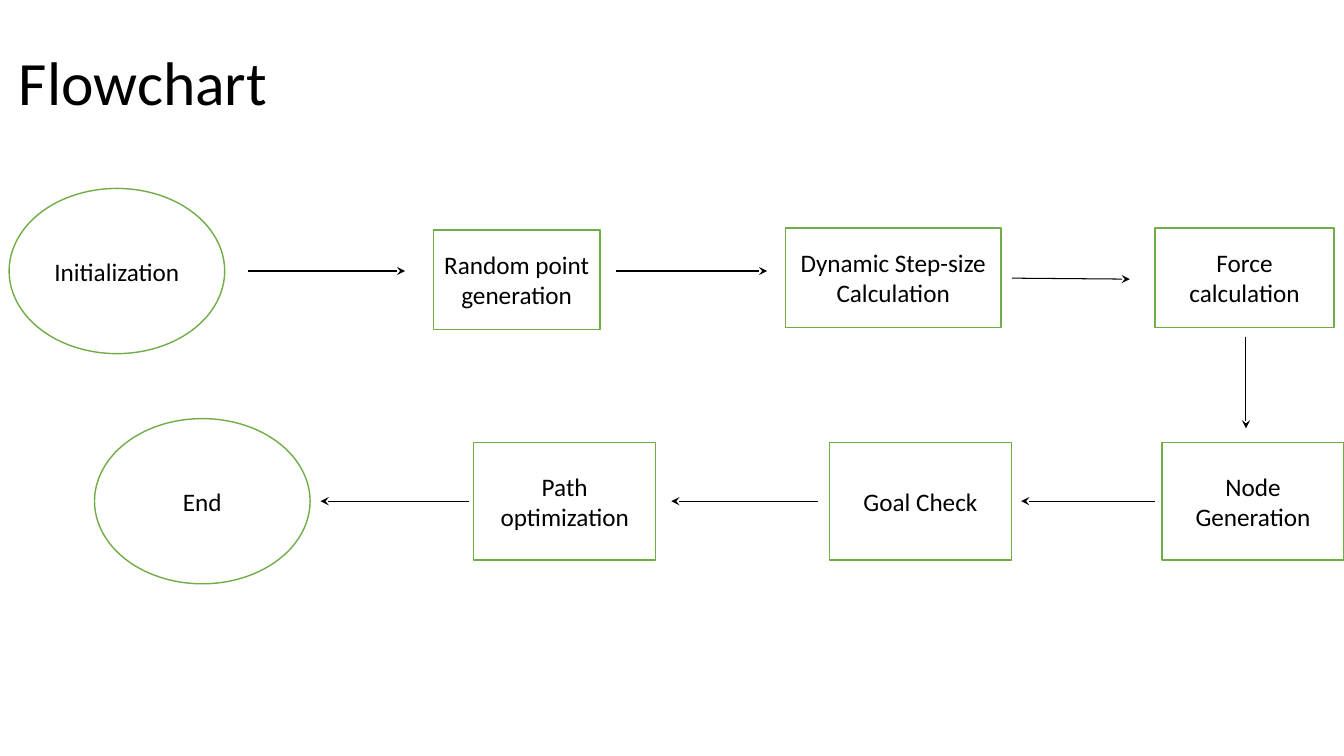
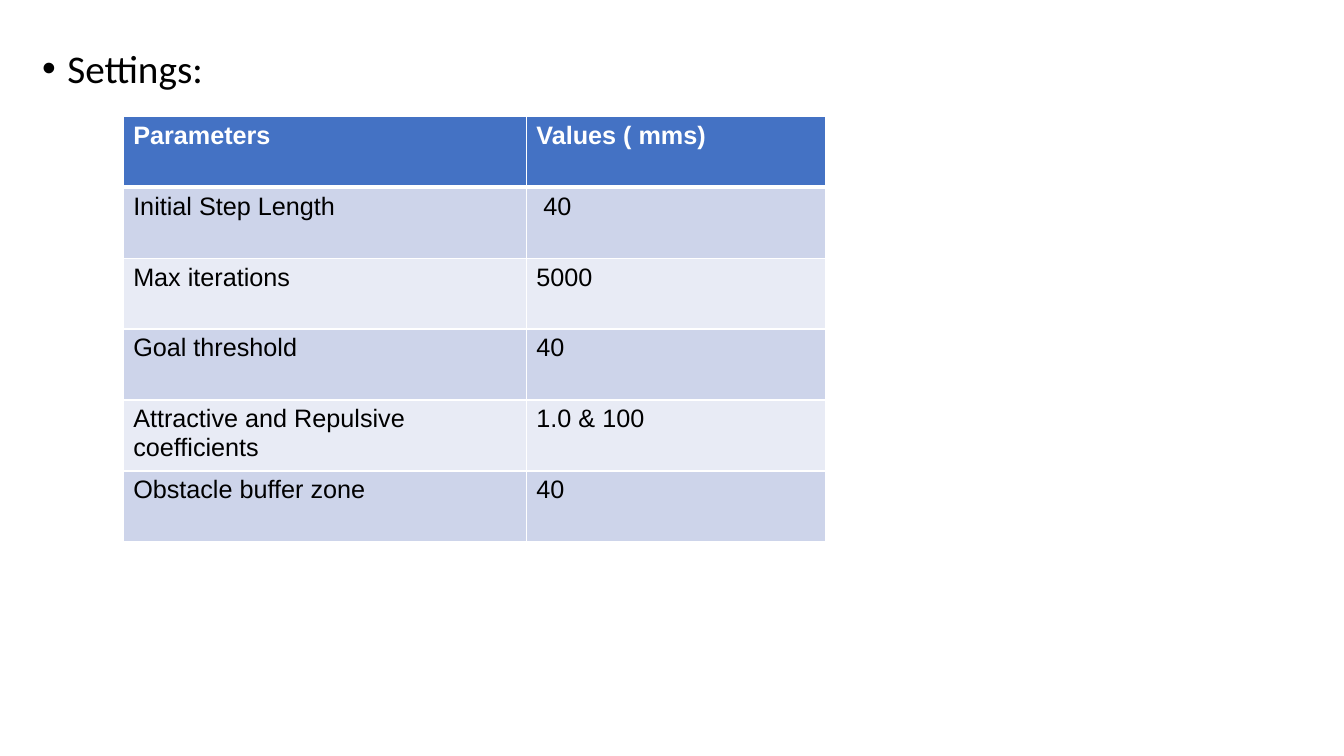
from lxml import etree
from pptx import Presentation
from pptx.dml.color import RGBColor
from pptx.enum.shapes import MSO_CONNECTOR, MSO_SHAPE
from pptx.enum.text import MSO_ANCHOR, PP_ALIGN
from pptx.oxml.ns import qn
from pptx.util import Pt

RECT, OVAL = MSO_SHAPE.RECTANGLE, MSO_SHAPE.OVAL
STRAIGHT = MSO_CONNECTOR.STRAIGHT
CENTER, LEFT = PP_ALIGN.CENTER, PP_ALIGN.LEFT
MIDDLE, TOP = MSO_ANCHOR.MIDDLE, MSO_ANCHOR.TOP

BLACK, WHITE, GREEN = "000000", "FFFFFF", "70AD47"
HEADER, BANDS = "4472C4", ("CDD4EA", "E8EBF5")
BODY_FONT, TABLE_FONT = "Calibri", "Arial"

OVAL_SIZE = (154, 118)
LOWER_BOX = (130, 84)
LOWER_Y = 358

# kind, text, left, centre height, size
STEPS = [
    (OVAL, "Initialization", 6.5, 193.6, OVAL_SIZE),
    (RECT, "Random point generation", 309.6, 199.8, (119, 71)),
    (RECT, "Dynamic Step-size Calculation", 561, 198.3, (154, 71)),
    (RECT, "Force calculation", 825, 198.3, (128, 71)),
    (RECT, "Node Generation", 830, LOWER_Y, LOWER_BOX),
    (RECT, "Goal Check", 592.5, LOWER_Y, LOWER_BOX),
    (RECT, "Path optimization", 338.4, LOWER_Y, LOWER_BOX),
    (OVAL, "End", 67.5, LOWER_Y, OVAL_SIZE),
]
# from x, from y, to x, to y
ARROWS = [
    (177, 193.6, 289.4, 193.6),
    (440, 193.6, 548, 193.6),
    (723, 198.7, 807, 199.4),
    (890, 240.5, 890, 306),
    (825, LOWER_Y, 729.4, LOWER_Y),
    (584.6, LOWER_Y, 479.5, LOWER_Y),
    (334.8, LOWER_Y, 229, LOWER_Y),
]
SETTINGS = [
    ("Parameters", "Values ( mms)"),
    ("Initial Step Length", " 40"),
    ("Max iterations", "5000"),
    ("Goal threshold", "40"),
    ("Attractive and Repulsive coefficients", "1.0 & 100"),
    ("Obstacle buffer zone", "40"),
]


def rgb(color):
    return RGBColor.from_string(color)


def write(tf, text, size=18, font=BODY_FONT, color=BLACK, bold=False,
          align=LEFT, spacing=None):
    p = tf.paragraphs[0]
    p.alignment = align
    if spacing:
        p.line_spacing = spacing
    r = p.add_run()
    r.text = text
    r.font.size, r.font.name, r.font.bold = Pt(size), font, bold
    r.font.color.rgb = rgb(color)
    return p


def add_text(s, text, left, top, width, height, anchor=TOP, **fmt):
    tf = s.shapes.add_textbox(Pt(left), Pt(top), Pt(width), Pt(height)).text_frame
    tf.word_wrap = True
    tf.vertical_anchor = anchor
    return write(tf, text, spacing=0.9, **fmt)


def add_bullet(p, indent):
    pPr = p._p.get_or_add_pPr()
    pPr.set("marL", str(Pt(indent)))
    pPr.set("indent", str(-Pt(indent)))
    etree.SubElement(pPr, qn("a:buFont"), typeface="Arial")
    etree.SubElement(pPr, qn("a:buChar"), char="•")


def add_step(s, kind, text, left, middle, size):
    width, height = size
    sp = s.shapes.add_shape(kind, Pt(left), Pt(middle - height / 2),
                            Pt(width), Pt(height))
    sp.shadow.inherit = False
    sp.fill.solid()
    sp.fill.fore_color.rgb = rgb(WHITE)
    sp.line.color.rgb = rgb(GREEN)
    sp.line.width = Pt(1)
    tf = sp.text_frame
    tf.word_wrap = True
    tf.vertical_anchor = MIDDLE
    write(tf, text, align=CENTER)


def add_arrow(s, *ends):
    line = s.shapes.add_connector(STRAIGHT, *map(Pt, ends))
    line.line.color.rgb = rgb(BLACK)
    line.line.width = Pt(0.75)
    etree.SubElement(line.line._get_or_add_ln(), qn("a:tailEnd"), type="stealth")
    etree.SubElement(line._element.spPr, qn("a:effectLst"))


def set_borders(cell, **widths):
    tcPr = cell._tc.get_or_add_tcPr()
    for side in "LRTB":
        ln = etree.SubElement(tcPr, qn(f"a:ln{side}"), w=str(Pt(widths.get(side, 1))))
        fill = etree.SubElement(ln, qn("a:solidFill"))
        etree.SubElement(fill, qn("a:srgbClr"), val=WHITE)


def add_table(s, rows, left, top, col_widths, row_height):
    table = s.shapes.add_table(len(rows), len(col_widths), Pt(left), Pt(top),
                               Pt(sum(col_widths)), Pt(row_height * len(rows))).table
    for col, width in zip(table.columns, col_widths):
        col.width = Pt(width)
    for i, values in enumerate(rows):
        head = i == 0
        for j, text in enumerate(values):
            cell = table.cell(i, j)
            set_borders(cell, T=3 if i == 1 else 1, B=3 if head else 1)
            cell.fill.solid()
            cell.fill.fore_color.rgb = rgb(HEADER if head else BANDS[(i - 1) % 2])
            write(cell.text_frame, text, font=TABLE_FONT, bold=head,
                  color=WHITE if head else BLACK)


def flowchart_slide(s):
    add_text(s, "Flowchart", 6.5, 8.5, 828, 104.5, anchor=MIDDLE, size=44)
    for step in STEPS:
        add_step(s, *step)
    for arrow in ARROWS:
        add_arrow(s, *arrow)


def settings_slide(s):
    add_bullet(add_text(s, "Settings:", 23, 31.7, 828, 343, size=28), 18)
    add_table(s, SETTINGS, 88, 83, (288, 213.5), 50.7)


def main():
    prs = Presentation()
    prs.slide_width, prs.slide_height = Pt(960), Pt(540)
    blank = prs.slide_layouts[6]
    for build in (flowchart_slide, settings_slide):
        build(prs.slides.add_slide(blank))
    prs.save("out.pptx")


if __name__ == "__main__":
    main()
